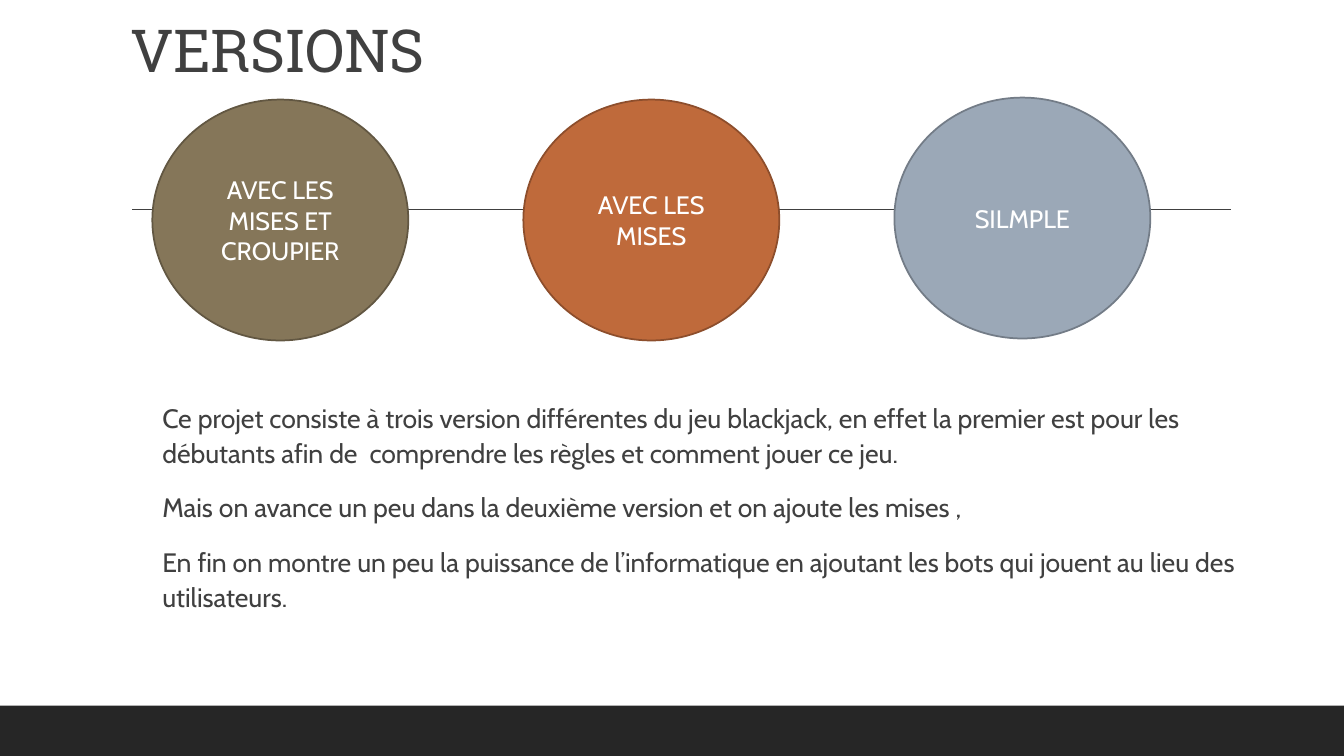
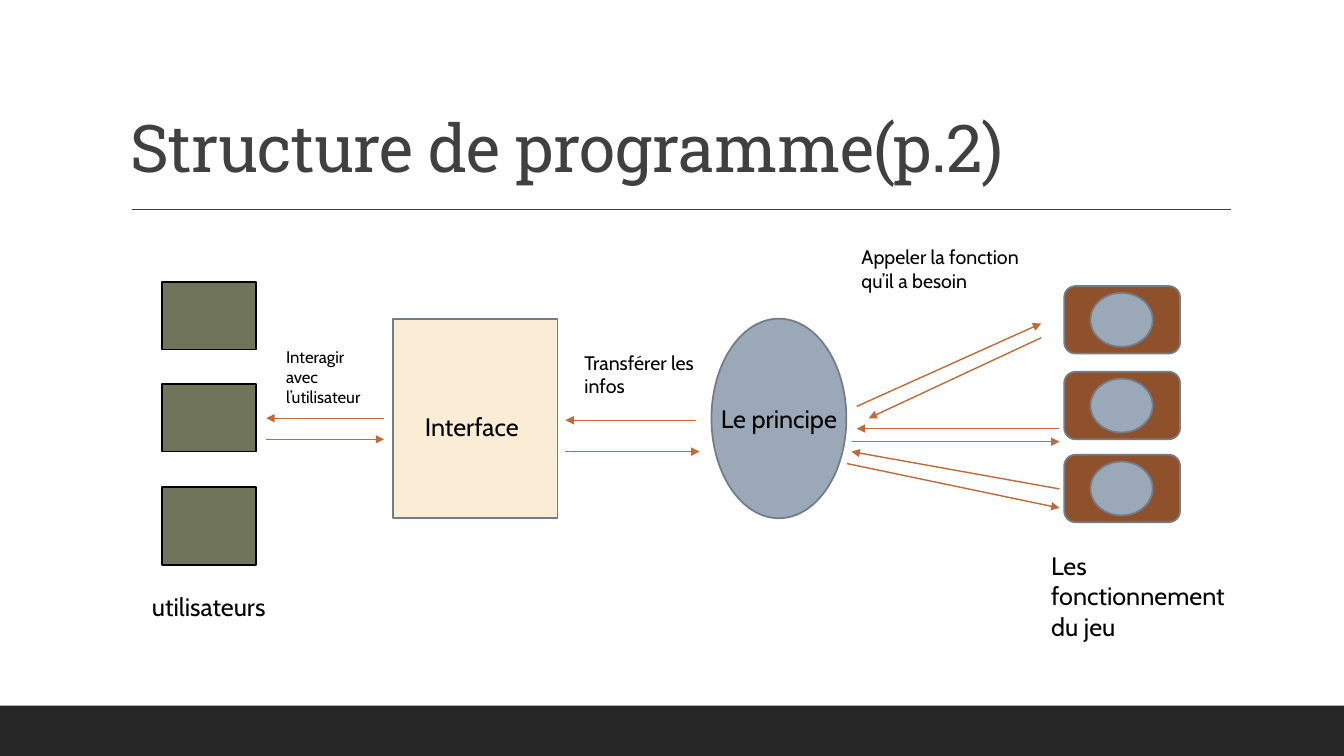
from lxml import etree
from pptx import Presentation
from pptx.dml.color import RGBColor
from pptx.enum import shapes as es, text as et
from pptx.oxml.ns import qn
from pptx.util import Cm, Pt

HEADING, BODY = "Roboto Slab", "Cabin"
WHITE, BLACK, INK, BAND = "FFFFFF", "000000", "404040", "262626"
RUST, SLATE, SLATE_EDGE = "BF6A3B", "9BA8B7", "737C87"
OLIVE, CREAM, BROWN = "6F745A", "FAECD5", "8F502C"
LEFT, CENTER = et.PP_ALIGN.LEFT, et.PP_ALIGN.CENTER
TOP, MIDDLE, BOTTOM = et.MSO_ANCHOR.TOP, et.MSO_ANCHOR.MIDDLE, et.MSO_ANCHOR.BOTTOM
RECT, ROUNDED, OVAL = (es.MSO_SHAPE.RECTANGLE, es.MSO_SHAPE.ROUNDED_RECTANGLE,
                       es.MSO_SHAPE.OVAL)


def paint(target, color):
    """Give a fill, line or font its solid colour."""
    if hasattr(target, "solid"):
        target.solid()
        target = target.fore_color
    else:
        target = target.color
    target.rgb = RGBColor.from_string(color)


def write(shape, *paragraphs, size=18, font=BODY, color=BLACK, align=LEFT,
          anchor=TOP, insets=(0.25, 0.13, 0.25, 0.13), leading=1.0,
          before=0, after=0, indent=0, tracking=0, wrap=True):
    """Write formatted paragraphs into a shape."""
    frame = shape.text_frame
    frame.auto_size = et.MSO_AUTO_SIZE.NONE
    frame.word_wrap = wrap
    frame.vertical_anchor = anchor
    (frame.margin_left, frame.margin_top,
     frame.margin_right, frame.margin_bottom) = map(Cm, insets)
    frame.text = "\n".join(paragraphs)
    for paragraph in frame.paragraphs:
        paragraph.alignment = align
        paragraph.line_spacing = leading
        paragraph.space_before, paragraph.space_after = Pt(before), Pt(after)
        properties = paragraph._p.get_or_add_pPr()
        properties.set("marL", str(Cm(indent)))
        properties.set("indent", "0")
        etree.SubElement(properties, qn("a:buNone"))
        for run in paragraph.runs:
            run.font.size, run.font.name = Pt(size), font
            paint(run.font, color)
            if tracking:
                run.font._element.set("spc", str(round(tracking * 100)))


def place(shape, box):
    """Move a placeholder to a box given in centimetres."""
    shape.left, shape.top, shape.width, shape.height = map(Cm, box)
    return shape


def figure(slide, kind, box, fill, edge=None):
    """Add a filled preset shape, outlined when an edge colour is given."""
    shape = slide.shapes.add_shape(kind, *map(Cm, box))
    shape.shadow.inherit = False
    paint(shape.fill, fill)
    if edge:
        paint(shape.line, edge)
        shape.line.width = Pt(1.25)
    else:
        shape.line.fill.background()
    return shape


def label(slide, box, words, **style):
    """Add a free text label."""
    write(slide.shapes.add_textbox(*map(Cm, box)), words, **style)


def line(slide, ends, color, arrow=False):
    """Add a straight line, with an arrowhead at its end on request."""
    connector = slide.shapes.add_connector(es.MSO_CONNECTOR.STRAIGHT, *map(Cm, ends))
    paint(connector.line, color)
    connector.line.width = Pt(1)
    if arrow:
        etree.SubElement(connector.line._get_or_add_ln(), qn("a:tailEnd"), type="triangle")
    etree.SubElement(connector.element.spPr, qn("a:effectLst"))
    return connector


def new_slide(prs, layout, title, box, size):
    """Add a slide with its title in the shared style."""
    slide = prs.slides.add_slide(prs.slide_layouts.get_by_name(layout))
    write(place(slide.shapes.title, box), title, size=size, font=HEADING,
          color=INK, anchor=BOTTOM, leading=0.9, tracking=-0.5)
    return slide


def decorate_master(prs, slide):
    """Draw the rule and the bottom band and hand them to the master."""
    rule = line(slide, (3.33, 5.28, 31.01, 5.28), INK)
    band = figure(slide, RECT, (0, 17.78, 33.87, 1.27), BAND)
    for part in (rule, band):
        prs.slide_master.shapes.element.insert(2, part.element)


def versions_slide(prs):
    """Build the slide on the three versions of the game."""
    slide = new_slide(prs, "Title and Content", "VERSIONS", (3.05, 0.33, 27.94, 1.96), 42.3)
    decorate_master(prs, slide)
    write(place(slide.placeholders[1], (3.84, 9.91, 27.94, 10.44)),
          "Ce projet consiste à trois version différentes du jeu blackjack, en effet la "
          "premier est pour les débutants afin de  comprendre les règles et comment jouer ce jeu.",
          "Mais on avance un peu dans la deuxième version et on ajoute les mises ,",
          "En fin on montre un peu la puissance de l’informatique en ajoutant les bots qui "
          "jouent au lieu des utilisateurs.",
          size=19, color=INK, insets=(0, 0.13, 0, 0.13), leading=1.1,
          before=12, after=2, indent=0.25)
    versions = (("AVEC LES MISES ET CROUPIER", 2.51, "857659", "625742"),
                ("AVEC LES MISES", 2.51, RUST, "8D4E2C"),
                ("SILMPLE", 2.46, SLATE, SLATE_EDGE))
    for column, (name, top, fill, edge) in enumerate(versions):
        circle = figure(slide, OVAL, (3.84 + 9.35 * column, top, 6.45, 6.07), fill, edge)
        write(circle, name, color=WHITE, align=CENTER, anchor=MIDDLE)


def structure_slide(prs):
    """Build the slide on the structure of the program."""
    slide = new_slide(prs, "Title Only", "Structure de programme(p.2)",
                      (3.05, 0.79, 27.94, 4.04), 47)
    interface = figure(slide, RECT, (9.91, 8.03, 4.14, 5.03), CREAM, SLATE_EDGE)
    write(interface, "Interface", align=CENTER, anchor=MIDDLE, insets=(0, 0.4, 0.18, 0))
    core = figure(slide, OVAL, (17.93, 8.03, 3.4, 5.03), SLATE, SLATE_EDGE)
    write(core, "Le principe", align=CENTER, anchor=MIDDLE, wrap=False)
    for top, height in ((7.11, 1.7), (9.68, 1.7), (12.27, 1.96)):
        figure(slide, RECT, (4.09, top, 2.36, height), OLIVE, BLACK)
    for top in (7.21, 9.37, 11.46):
        figure(slide, ROUNDED, (26.82, top, 2.92, 1.7), BROWN, SLATE_EDGE)
        figure(slide, OVAL, (27.48, top + 0.17, 1.57, 1.36), SLATE, SLATE_EDGE)
    for box, words, size in (
            ((3.58, 14.76, 4.14, 1.02), "utilisateurs", 18),
            ((26.24, 13.74, 4.93, 2.57), "Les fonctionnement du jeu", 18),
            ((6.96, 8.61, 2.54, 1.8), "Interagir avec l’utilisateur", 12),
            ((14.48, 8.71, 3.71, 1.45), "Transférer les infos", 14),
            ((21.46, 6.05, 5.13, 1.45), "Appeler la fonction qu’il a besoin", 14)):
        label(slide, box, words, size=size)
    for ends in ((6.71, 11.07, 9.68, 11.07), (9.68, 10.54, 6.71, 10.54),
                 (14.25, 11.38, 17.63, 11.38), (17.53, 10.59, 14.25, 10.59),
                 (21.59, 10.24, 26.24, 8.15), (26.24, 8.51, 21.89, 10.54),
                 (21.46, 11.13, 26.7, 11.13), (26.7, 10.8, 21.59, 10.8),
                 (26.7, 12.32, 21.46, 11.38), (21.34, 11.68, 26.7, 12.8)):
        line(slide, ends, RUST, arrow=True)


def main():
    """Build and save the presentation."""
    prs = Presentation()
    prs.slide_width, prs.slide_height = Cm(33.87), Cm(19.05)
    versions_slide(prs)
    structure_slide(prs)
    prs.save("out.pptx")


if __name__ == "__main__":
    main()
